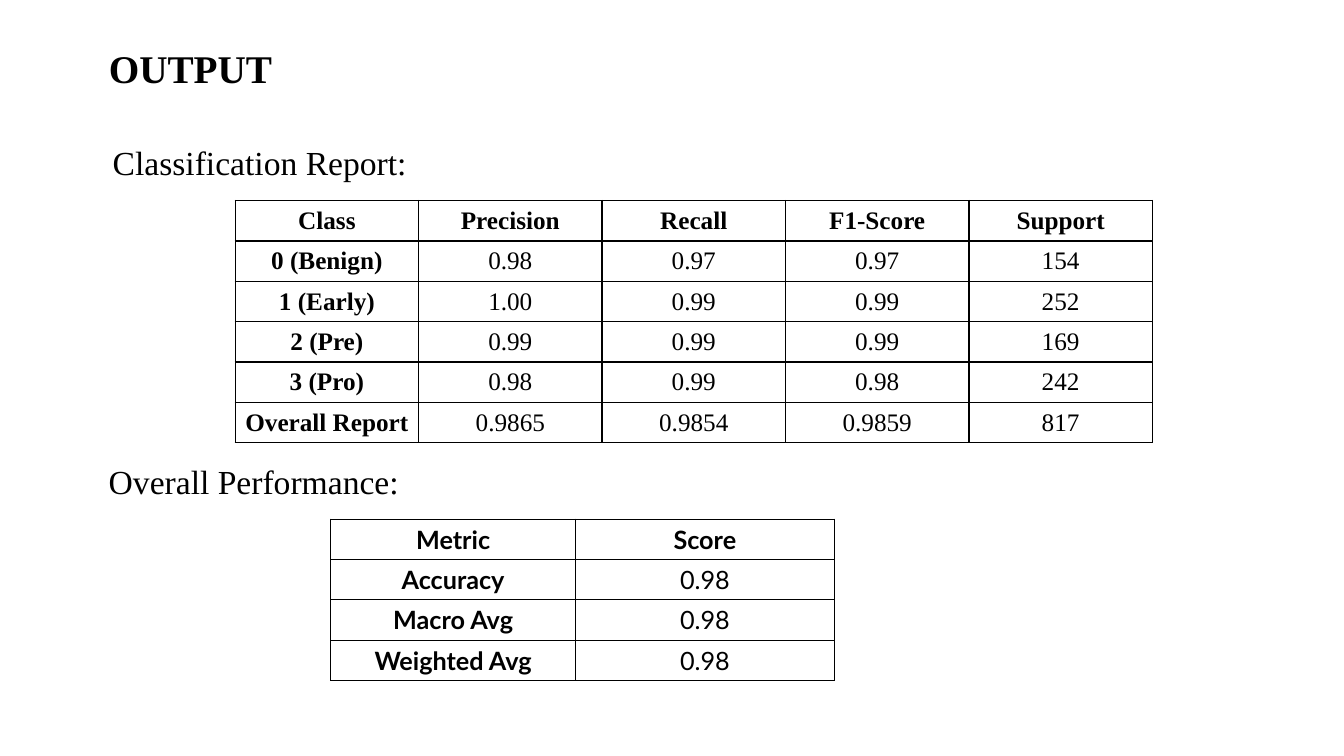
"""Build the OUTPUT slide with the classification report and overall performance tables."""
from lxml.etree import SubElement
from pptx import Presentation
from pptx.dml.color import RGBColor
from pptx.enum.text import MSO_ANCHOR, MSO_AUTO_SIZE, PP_ALIGN
from pptx.oxml.ns import qn
from pptx.util import Inches, Pt

COLOURS = {"ink": "000000", "paper": "FFFFFF"}
SERIF, SANS = "Times New Roman", "Lato"
ROW_SHARE = 5.34

TITLE = ("OUTPUT", (7.35, 5.2, 22.5, 7.6))
CAPTIONS = [
    ("Classification Report:", (7.65, 18.13, 45.24, 6.67)),
    ("Overall Performance:", (7.35, 60.27, 30.83, 6.67)),
]
TABLES = [
    {
        "corner": (17.5, 26.53), "columns": [13.65] * 5, "font": SERIF,
        "rows": [
            ("Class", "Precision", "Recall", "F1-Score", "Support"),
            ("0 (Benign)", "0.98", "0.97", "0.97", "154"),
            ("1 (Early)", "1.00", "0.99", "0.99", "252"),
            ("2 (Pre)", "0.99", "0.99", "0.99", "169"),
            ("3 (Pro)", "0.98", "0.99", "0.98", "242"),
            ("Overall Report", "0.9865", "0.9854", "0.9859", "817"),
        ],
    },
    {
        "corner": (24.6, 68.67), "columns": [18.23, 19.24], "font": SANS,
        "rows": [
            ("Metric", "Score"),
            ("Accuracy", "0.98"),
            ("Macro Avg", "0.98"),
            ("Weighted Avg", "0.98"),
        ],
    },
]

deck = Presentation()
deck.slide_width, deck.slide_height = Inches(13.33), Inches(7.5)


def across(share):
    return round(deck.slide_width * share / 100)


def down(share):
    return round(deck.slide_height * share / 100)


def area(left, top, width, height):
    return across(left), down(top), across(width), down(height)


def write(frame, words, size, font, bold=False, align=PP_ALIGN.LEFT):
    frame.text = words
    paragraph = frame.paragraphs[0]
    paragraph.alignment = align
    style = paragraph.runs[0].font
    style.size, style.name, style.bold = Pt(size), font, bold
    style.color.rgb = RGBColor.from_string(COLOURS["ink"])


def outline(cell):
    properties = cell._tc.get_or_add_tcPr()
    for place, side in enumerate(("lnL", "lnR", "lnT", "lnB")):
        line = SubElement(properties, qn(f"a:{side}"), w=str(Pt(1)))
        fill = SubElement(line, qn("a:solidFill"))
        SubElement(fill, qn("a:srgbClr"), val=COLOURS["ink"])
        properties.insert(place, line)


def add_grid(slide, corner, columns, font, rows):
    place = area(*corner, sum(columns), ROW_SHARE * len(rows))
    grid = slide.shapes.add_table(len(rows), len(columns), *place).table
    for column, share in zip(grid.columns, columns):
        column.width = across(share)
    for r, values in enumerate(rows):
        grid.rows[r].height = down(ROW_SHARE)
        for c, value in enumerate(values):
            cell = grid.cell(r, c)
            cell.margin_left = cell.margin_right = Inches(0.05)
            cell.margin_top = cell.margin_bottom = Inches(0.03)
            cell.vertical_anchor = MSO_ANCHOR.MIDDLE
            cell.fill.solid()
            cell.fill.fore_color.rgb = RGBColor.from_string(COLOURS["paper"])
            outline(cell)
            write(cell.text_frame, value, 18, font, r == 0 or c == 0, PP_ALIGN.CENTER)


def main():
    slide = deck.slides.add_slide(deck.slide_layouts[5])
    words, place = TITLE
    title = slide.shapes.title
    title.left, title.top, title.width, title.height = area(*place)
    title.text_frame.auto_size = MSO_AUTO_SIZE.NONE
    title.text_frame.vertical_anchor = MSO_ANCHOR.TOP
    write(title.text_frame, words, 28, SERIF, bold=True)
    for words, place in CAPTIONS:
        caption = slide.shapes.add_textbox(*area(*place)).text_frame
        caption.word_wrap = True
        write(caption, words, 24, SERIF)
    for table in TABLES:
        add_grid(slide, **table)
    deck.save("out.pptx")


if __name__ == "__main__":
    main()
